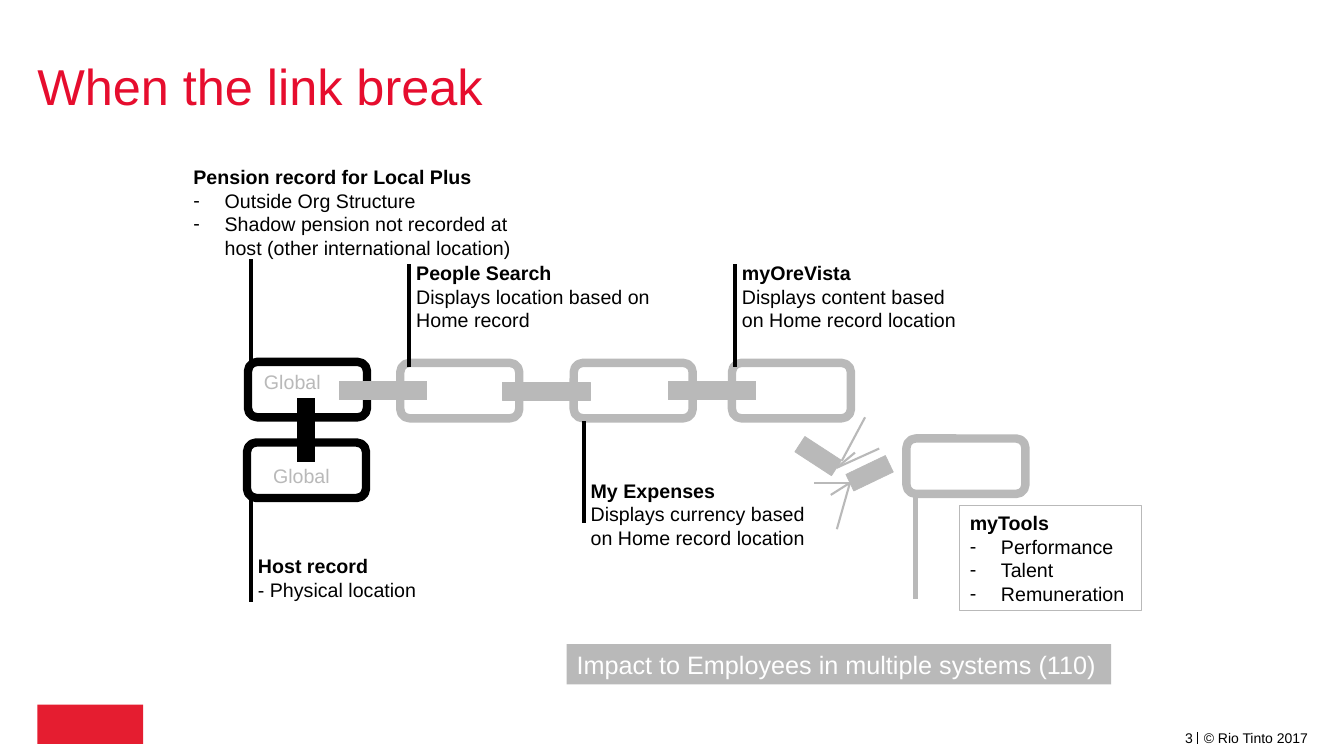
from dataclasses import dataclass

from lxml.etree import SubElement
from pptx import Presentation
from pptx.dml.color import RGBColor
from pptx.enum.shapes import MSO_CONNECTOR, MSO_SHAPE
from pptx.enum.text import MSO_ANCHOR, MSO_AUTO_SIZE, PP_ALIGN
from pptx.oxml.ns import qn
from pptx.slide import Slide
from pptx.text.text import TextFrame
from pptx.util import Emu, Pt

BLACK = RGBColor(0x00, 0x00, 0x00)
WHITE = RGBColor(0xFF, 0xFF, 0xFF)
GREY = RGBColor(0xB9, 0xB9, 0xB9)
TITLE_RED = RGBColor(0xE6, 0x0D, 0x2E)
BADGE_RED = RGBColor(0xE5, 0x1D, 0x30)
FONT = "Arial"
PX_PER_INCH = 100
BULLET_INDENT = 31
LINK_SIZE = (118, 55)
BAR_HEIGHT = 77


def px(length: int) -> Emu:
    return Emu(length * 914400 // PX_PER_INCH)


@dataclass
class Link:
    left: int
    top: int
    color: RGBColor = GREY


@dataclass
class Bar:
    """A bar that joins two links, or half of a broken one."""
    left: int
    top: int
    width: int = 118
    rotation: float = 0
    color: RGBColor = GREY
    outlined: bool = True


@dataclass
class Stroke:
    start: tuple[int, int]
    end: tuple[int, int]
    color: RGBColor = BLACK
    weight: float = 3


@dataclass
class Caption:
    box: tuple[int, int, int, int]
    heading: str = ""
    lines: tuple[str, ...] = ()
    bulleted: bool = False
    wrap: bool = True
    size: int = 14
    color: RGBColor = BLACK
    fill: RGBColor | None = None
    border: RGBColor | None = None
    align: PP_ALIGN = PP_ALIGN.LEFT


LINKS = [
    Link(246, 359, BLACK), Link(245, 439, BLACK),
    Link(397, 360), Link(569, 360), Link(726, 360), Link(899, 435),
]
BARS = [
    Bar(321, 349), Bar(483, 350), Bar(647, 349),
    Bar(260, 388, 87, 270, BLACK, outlined=False),
    Bar(782, 414, 59, 33.1), Bar(833, 431, 59, 334.4),
]
POINTERS = [
    Stroke((249, 257), (249, 359)), Stroke((249, 495), (249, 597)),
    Stroke((406, 262), (406, 364)), Stroke((579, 418), (579, 519)),
    Stroke((729, 262), (729, 364)), Stroke((908, 493), (908, 594), GREY),
]
SPARKS = [
    Stroke(start, end, GREY, 1.5)
    for start, ends in {
        (830, 464): [(848, 449), (872, 445)],
        (835, 457): [(858, 414)],
        (843, 479): [(830, 525), (824, 491), (807, 479)],
    }.items()
    for end in ends
]
CAPTIONS = [
    Caption((182, 159, 360, 104), "Pension record for Local Plus",
            ("Outside Org Structure",
             "Shadow pension not recorded at host (other international location)"),
            bulleted=True),
    Caption((246, 545, 178, 57), "Host record", ("- Physical location",), wrap=False),
    Caption((403, 254, 260, 81), "People Search",
            ("Displays location based on Home record",)),
    Caption((952, 502, 180, 104), "myTools", ("Performance", "Talent", "Remuneration"),
            bulleted=True, border=GREY),
    Caption((726, 254, 242, 81), "myOreVista",
            ("Displays content based on Home record location",)),
    Caption((576, 470, 250, 104), "My Expenses",
            ("Displays currency based on Home record location",)),
    Caption((252, 362, 77, 34), lines=("Global",), wrap=False, color=GREY),
    Caption((261, 455, 77, 34), lines=("Global",), wrap=False, color=GREY),
    Caption((562, 639, 540, 40), lines=("Impact to Employees in multiple systems (110)",),
            wrap=False, size=18, color=WHITE, fill=GREY),
    Caption((1182, 719, 125, 27), lines=("© Rio Tinto 2017",), wrap=False, size=10,
            align=PP_ALIGN.RIGHT),
]


def format_runs(text_frame: TextFrame, size: int, color: RGBColor) -> None:
    for paragraph in text_frame.paragraphs:
        for run in paragraph.runs:
            run.font.name = FONT
            run.font.size = Pt(size)
            run.font.color.rgb = color


def add_link(slide: Slide, link: Link) -> None:
    shape = slide.shapes.add_shape(MSO_SHAPE.ROUNDED_RECTANGLE, px(link.left), px(link.top),
                                   *map(px, LINK_SIZE))
    shape.shadow.inherit = False
    shape.fill.background()
    shape.line.color.rgb = link.color
    shape.line.width = Pt(6)


def add_bar(slide: Slide, bar: Bar) -> None:
    shape = slide.shapes.add_shape(MSO_SHAPE.MATH_MINUS, px(bar.left), px(bar.top),
                                   px(bar.width), px(BAR_HEIGHT))
    shape.shadow.inherit = False
    shape.rotation = bar.rotation
    shape.fill.solid()
    shape.fill.fore_color.rgb = bar.color
    if bar.outlined:
        shape.line.color.rgb = bar.color
        shape.line.width = Pt(0.5)
    else:
        shape.line.fill.background()


def add_stroke(slide: Slide, stroke: Stroke) -> None:
    connector = slide.shapes.add_connector(MSO_CONNECTOR.STRAIGHT, *map(px, stroke.start),
                                           *map(px, stroke.end))
    connector.line.color.rgb = stroke.color
    connector.line.width = Pt(stroke.weight)
    SubElement(connector._element.spPr, qn("a:effectLst"))


def add_caption(slide: Slide, caption: Caption) -> None:
    shape = slide.shapes.add_textbox(*map(px, caption.box))
    if caption.fill is not None:
        shape.fill.solid()
        shape.fill.fore_color.rgb = caption.fill
    if caption.border is not None:
        shape.line.color.rgb = caption.border
        shape.line.width = Pt(0.75)
    text_frame = shape.text_frame
    text_frame.word_wrap = caption.wrap
    heading = (caption.heading,) if caption.heading else ()
    text_frame.text = "\n".join(heading + caption.lines)
    for paragraph in text_frame.paragraphs:
        paragraph.alignment = caption.align
    if caption.bulleted:
        for paragraph in text_frame.paragraphs[len(heading):]:
            properties = paragraph._p.get_or_add_pPr()
            properties.set("marL", str(px(BULLET_INDENT)))
            properties.set("indent", str(-px(BULLET_INDENT)))
            SubElement(properties, qn("a:buFont"), typeface=FONT)
            SubElement(properties, qn("a:buChar"), char="-")
    format_runs(text_frame, caption.size, caption.color)
    if heading:
        text_frame.paragraphs[0].runs[0].font.bold = True


def add_title(slide: Slide) -> None:
    title = slide.shapes.title
    title.left, title.top, title.width, title.height = map(px, (37, 26, 1260, 126))
    text_frame = title.text_frame
    text_frame.text = "When the link break"
    text_frame.auto_size = MSO_AUTO_SIZE.NONE
    text_frame.vertical_anchor = MSO_ANCHOR.MIDDLE
    text_frame.margin_left = 0
    text_frame.paragraphs[0].alignment = PP_ALIGN.LEFT
    text_frame.paragraphs[0].line_spacing = 0.9
    format_runs(text_frame, 36, TITLE_RED)


def add_footer(slide: Slide) -> None:
    badge = slide.shapes.add_shape(MSO_SHAPE.RECTANGLE, *map(px, (37, 699, 105, 39)))
    badge.shadow.inherit = False
    badge.fill.solid()
    badge.fill.fore_color.rgb = BADGE_RED
    badge.line.fill.background()
    add_stroke(slide, Stroke((1188, 726), (1188, 738), weight=0.5))
    text_frame = slide.shapes.add_textbox(*map(px, (1144, 725, 39, 15))).text_frame
    text_frame.text = "3"
    text_frame.vertical_anchor = MSO_ANCHOR.MIDDLE
    text_frame.margin_left = text_frame.margin_right = 0
    text_frame.margin_top = text_frame.margin_bottom = 0
    text_frame.word_wrap = True
    text_frame.paragraphs[0].alignment = PP_ALIGN.RIGHT
    format_runs(text_frame, 10, BLACK)


def main() -> None:
    presentation = Presentation()
    presentation.slide_width, presentation.slide_height = px(1333), px(750)
    slide = presentation.slides.add_slide(presentation.slide_layouts[5])
    add_title(slide)
    add_footer(slide)
    for link in LINKS:
        add_link(slide, link)
    for bar in BARS:
        add_bar(slide, bar)
    for stroke in POINTERS + SPARKS:
        add_stroke(slide, stroke)
    for caption in CAPTIONS:
        add_caption(slide, caption)
    presentation.save("out.pptx")


if __name__ == "__main__":
    main()
